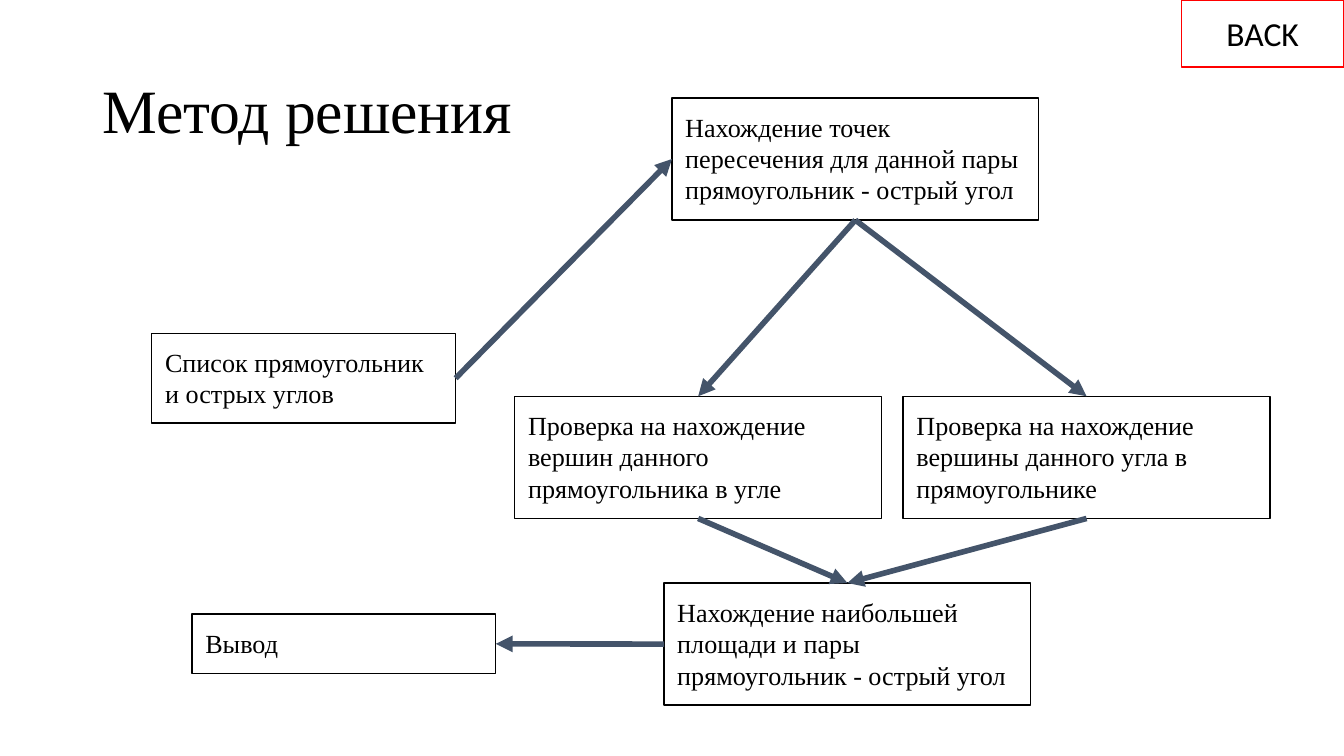
"""Build the solution method flowchart slide."""
from lxml import etree
from pptx import Presentation
from pptx.dml.color import RGBColor
from pptx.enum.shapes import MSO_CONNECTOR, MSO_SHAPE
from pptx.enum.text import MSO_ANCHOR, MSO_AUTO_SIZE, PP_ALIGN
from pptx.oxml.ns import qn
from pptx.util import Cm, Pt

RECT, STRAIGHT = MSO_SHAPE.RECTANGLE, MSO_CONNECTOR.STRAIGHT
TOP_ANCHOR, MIDDLE = MSO_ANCHOR.TOP, MSO_ANCHOR.MIDDLE
GROW, NO_FIT = MSO_AUTO_SIZE.SHAPE_TO_FIT_TEXT, MSO_AUTO_SIZE.NONE
LEFT_ALIGN, CENTER = PP_ALIGN.LEFT, PP_ALIGN.CENTER
TOP, LEFT, BOTTOM, RIGHT = range(4)

COLORS = {"text": "000000", "box": "000000", "arrow": "44546A",
          "back": "FF0000", "paper": "FFFFFF"}
SERIF, SANS = "Times New Roman", "Calibri"
TITLE = "Метод решения"
SMALL_W, LARGE_W, LARGE_H, CHECK_TOP = 5.74, 6.93, 2.31, 7.49

STEPS = {
    "list": ("Список прямоугольник \vи острых углов", 2.87, 6.3, SMALL_W, 1.7),
    "points": ("Нахождение точек пересечения для данной пары прямоугольник - острый угол",
               12.7, 1.85, LARGE_W, LARGE_H),
    "vertex": ("Проверка на нахождение вершины данного угла в прямоугольнике",
               17.07, CHECK_TOP, LARGE_W, LARGE_H),
    "corners": ("Проверка на нахождение вершин данного прямоугольника в угле",
                9.73, CHECK_TOP, LARGE_W, LARGE_H),
    "largest": ("Нахождение наибольшей площади и пары прямоугольник - острый угол",
                12.55, 11.02, LARGE_W, LARGE_H),
    "output": ("Вывод", 3.63, 11.61, SMALL_W, 1.12),
}
ARROWS = [
    ("list", RIGHT, "points", LEFT),
    ("points", BOTTOM, "vertex", TOP),
    ("points", BOTTOM, "corners", TOP),
    ("corners", BOTTOM, "largest", TOP),
    ("vertex", BOTTOM, "largest", TOP),
    ("largest", LEFT, "output", RIGHT),
]
BACK = ("BACK", 22.33, 0, 3.07, 1.27)


def rgb(name):
    return RGBColor.from_string(COLORS[name])


def style_text(tf, size, font, align, anchor, inset_x, inset_y):
    tf.word_wrap = True
    tf.vertical_anchor = anchor
    tf.margin_left = tf.margin_right = Cm(inset_x)
    tf.margin_top = tf.margin_bottom = Cm(inset_y)
    for p in tf.paragraphs:
        p.alignment = align
        for r in p.runs:
            r.font.size, r.font.name = Pt(size), font
            r.font.color.rgb = rgb("text")


def add_box(s, text, x, y, w, h, line="box", fill=None,
            size=14, font=SERIF, align=LEFT_ALIGN):
    sp = s.shapes.add_shape(RECT, Cm(x), Cm(y), Cm(w), Cm(h))
    sp.shadow.inherit = False
    if fill:
        sp.fill.solid()
        sp.fill.fore_color.rgb = rgb(fill)
    else:
        sp.fill.background()
    sp.line.color.rgb, sp.line.width = rgb(line), Pt(0.75)
    sp.text_frame.text = text
    style_text(sp.text_frame, size, font, align, TOP_ANCHOR, 0.25, 0.25)
    sp.text_frame.auto_size = GROW
    return sp


def add_arrow(s, start, start_side, end, end_side):
    cxn = s.shapes.add_connector(STRAIGHT, 0, 0, 0, 0)
    cxn.begin_connect(start, start_side)
    cxn.end_connect(end, end_side)
    cxn.line.color.rgb, cxn.line.width = rgb("arrow"), Pt(3)
    etree.SubElement(cxn.line._get_or_add_ln(), qn("a:tailEnd"), type="triangle")
    etree.SubElement(cxn._element.spPr, qn("a:effectLst"))


def main():
    prs = Presentation()
    prs.slide_width, prs.slide_height = Cm(25.4), Cm(14.29)
    s = prs.slides.add_slide(prs.slide_layouts[5])

    title = s.shapes.title
    title.left, title.top, title.width, title.height = Cm(1.75), Cm(0.76), Cm(21.9), Cm(2.77)
    title.text_frame.text = TITLE
    style_text(title.text_frame, 33, SERIF, LEFT_ALIGN, MIDDLE, 0.18, 0.1)
    title.text_frame.auto_size = NO_FIT
    title.text_frame.paragraphs[0].line_spacing = 0.9

    boxes = {name: add_box(s, *step) for name, step in STEPS.items()}
    for start, start_side, end, end_side in ARROWS:
        add_arrow(s, boxes[start], start_side, boxes[end], end_side)
    add_box(s, *BACK, line="back", fill="paper", size=18, font=SANS, align=CENTER)
    prs.save("out.pptx")


if __name__ == "__main__":
    main()
